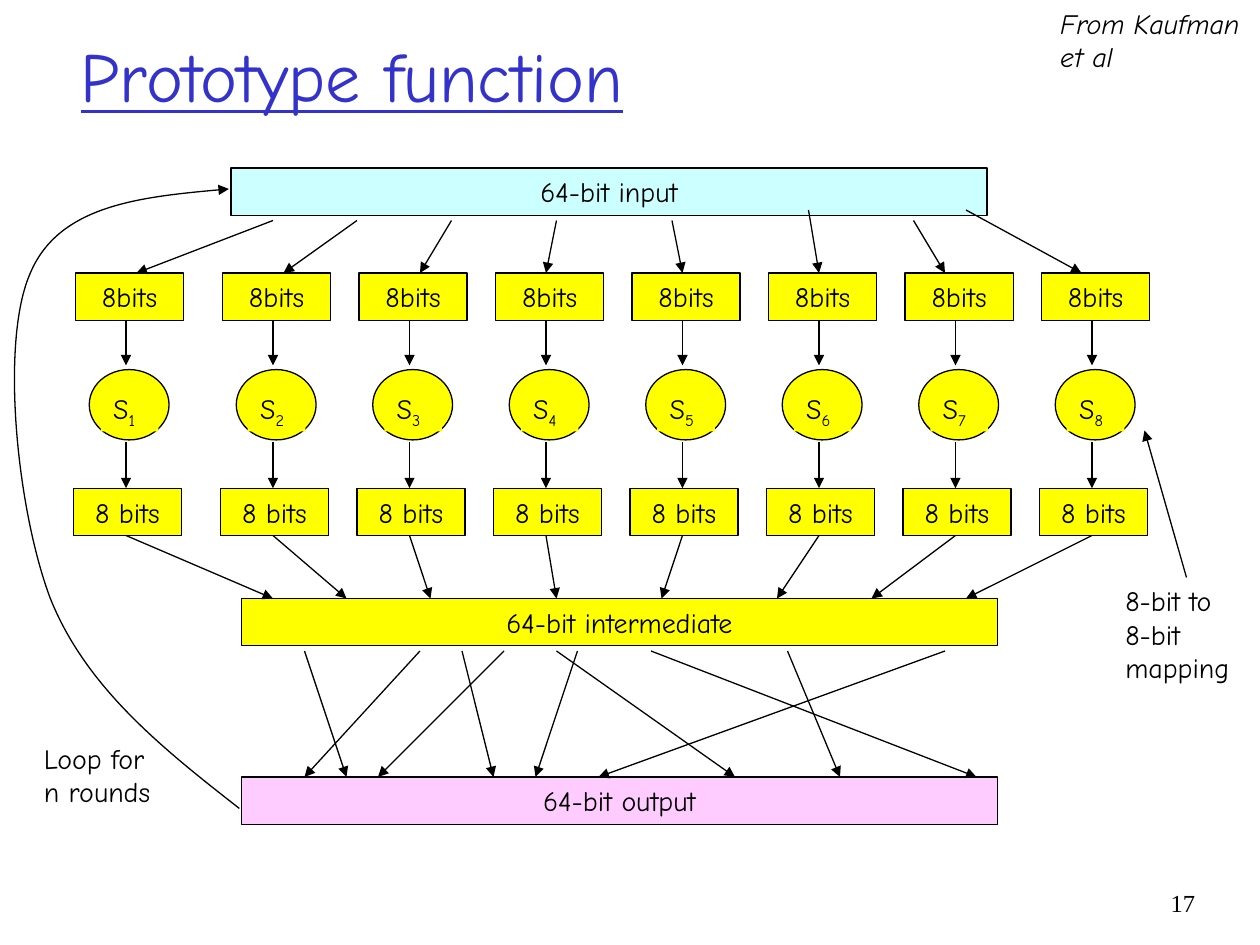
from pptx import Presentation
from pptx.dml.color import RGBColor
from pptx.enum.shapes import MSO_CONNECTOR, MSO_SHAPE
from pptx.enum.text import MSO_ANCHOR, PP_ALIGN
from pptx.oxml.ns import qn
from pptx.util import Inches, Pt
from lxml.etree import SubElement

BLACK, YELLOW = "000000", "FFFF00"
BODY = {"name": "Comic Neue", "size": Pt(16)}
HEAD = {"name": "Comic Neue", "size": Pt(40), "underline": True}
NUM = {"name": "Times New Roman", "size": Pt(14)}
LEFT, MID, RIGHT = PP_ALIGN.LEFT, PP_ALIGN.CENTER, PP_ALIGN.RIGHT

LANES = [12, *range(26, 105, 13)]
TALL = 4.5
BARS = [
    ("64-bit input", 22, 16, "CCFFFF"),
    ("64-bit intermediate", 23, 57, YELLOW),
    ("64-bit output", 23, 74, "FFCCFF"),
]
BOXES = [("8bits", -4.8, 26), ("8 bits", -5, 46.5)]
SPLIT = zip([26, 34, 43, 53, 64, 77, 87, 92], [21] * 5 + [20, 21, 20],
            [13, 27, 40, 52, 65, 78, 90, 103])
MERGE = zip(LANES, [26, 33, 41, 53, 63, 74, 83, 92])
MIX = [(29, 33), (40, 29), (48, 36), (44, 47), (55, 51),
       (53, 70), (62, 93), (90, 57), (75, 80)]
LOOP = [(22.8, 77), (15.5, 71.3), (8.2, 65.5), (4.8, 57), (1.6, 48.5),
        (0, 32.5), (2.9, 26), (5.6, 19.6), (13.8, 18.7), (21.8, 18)]
NOTES = [
    (["Loop for", "n rounds"], (3, 70, 16, 7.7), BODY, LEFT, True),
    (["8-bit to", "8-bit", "mapping"], (106, 55, 13.5, 10.8), BODY, LEFT, True),
    (["From Kaufman", "et al"], (99.8, 0, 20.2, 7.7),
     {**BODY, "italic": True}, LEFT, False),
    (["17"], (109, 84, 6, 6), NUM, RIGHT, True),
]


def unit(n):
    return Inches(n / 12)


def hue(code):
    return RGBColor.from_string(code)


def style(font, form, code=BLACK):
    for key, val in form.items():
        setattr(font, key, val)
    font.color.rgb = hue(code)


def write(frame, lines, form=BODY, align=LEFT, wrap=True, code=BLACK):
    frame.word_wrap = wrap
    for i, line in enumerate(lines):
        para = frame.add_paragraph() if i else frame.paragraphs[0]
        para.alignment = align
        run = para.add_run()
        run.text = line
        style(run.font, form, code)


def block(kind, spot, fill, edge=True):
    item = slide.shapes.add_shape(kind, *map(unit, spot))
    item.shadow.inherit = False
    item.fill.solid()
    item.fill.fore_color.rgb = hue(fill)
    if edge:
        ink(item)
    else:
        item.line.fill.background()
    return item


def ink(item):
    item.line.color.rgb = hue(BLACK)
    item.line.width = Pt(0.75)


def tip(item):
    ink(item)
    SubElement(item.line._get_or_add_ln(), qn("a:tailEnd"), type="triangle")


def box(text, x, y, wide, fill):
    item = block(MSO_SHAPE.RECTANGLE, (x, y, wide, TALL), fill)
    item.text_frame.vertical_anchor = MSO_ANCHOR.MIDDLE
    write(item.text_frame, [text], align=MID, wrap=False)


def arrow(*ends):
    item = slide.shapes.add_connector(MSO_CONNECTOR.STRAIGHT, *map(unit, ends))
    tip(item)
    SubElement(item._element.spPr, qn("a:effectLst"))


def curve(spots):
    pts = [(unit(x), unit(y)) for x, y in spots]
    form = slide.shapes.build_freeform(*pts[0])
    form.add_line_segments(pts[1:], close=False)
    item = form.convert_to_shape()
    item.shadow.inherit = False
    item.fill.background()
    tip(item)
    segs = list(item._element.iter(qn("a:lnTo")))
    for i in range(0, len(segs), 3):
        bend = SubElement(segs[i].getparent(), qn("a:cubicBezTo"))
        for seg in segs[i:i + 3]:
            bend.append(seg[0])
            seg.getparent().remove(seg)


def sbox(num, x):
    block(MSO_SHAPE.OVAL, (x - 3.5, 35.2, 7.6, 6.7), YELLOW)
    label = block(MSO_SHAPE.RECTANGLE, (x - 2.4, 36.7, 5.5, 4.4), YELLOW, False)
    label.text_frame.vertical_anchor = MSO_ANCHOR.TOP
    write(label.text_frame, ["S"])
    sub = label.text_frame.paragraphs[0].add_run()
    sub.text = str(num)
    style(sub.font, BODY)
    sub._r.get_or_add_rPr().set("baseline", "-25000")


deck = Presentation()
deck.slide_width, deck.slide_height = unit(120), unit(90)
slide = deck.slides.add_slide(deck.slide_layouts[5])

title = slide.shapes.title
title.left, title.top, title.width, title.height = map(unit, (6.5, 0, 102, 14.2))
title.text_frame.vertical_anchor = MSO_ANCHOR.MIDDLE
write(title.text_frame, ["Prototype function"], HEAD, code="3333CC")

for text, x, y, fill in BARS:
    box(text, x, y, 72, fill)
for num, x in enumerate(LANES, 1):
    sbox(num, x)
    for text, shift, y in BOXES:
        box(text, x + shift, y, 10.3, YELLOW)
    arrow(x, 30.5, x, 34.8)
    arrow(x, 42.1, x, 46.5)
for x, y, end in SPLIT:
    arrow(x, y, end, 26)
for x, end in MERGE:
    arrow(x, 51, end, 57)
for x, end in MIX:
    arrow(x, 62, end, 74)
arrow(113, 55, 109, 41)
curve(LOOP)
for lines, spot, form, align, wrap in NOTES:
    note = slide.shapes.add_textbox(*map(unit, spot))
    write(note.text_frame, lines, form, align, wrap)

deck.save("out.pptx")
